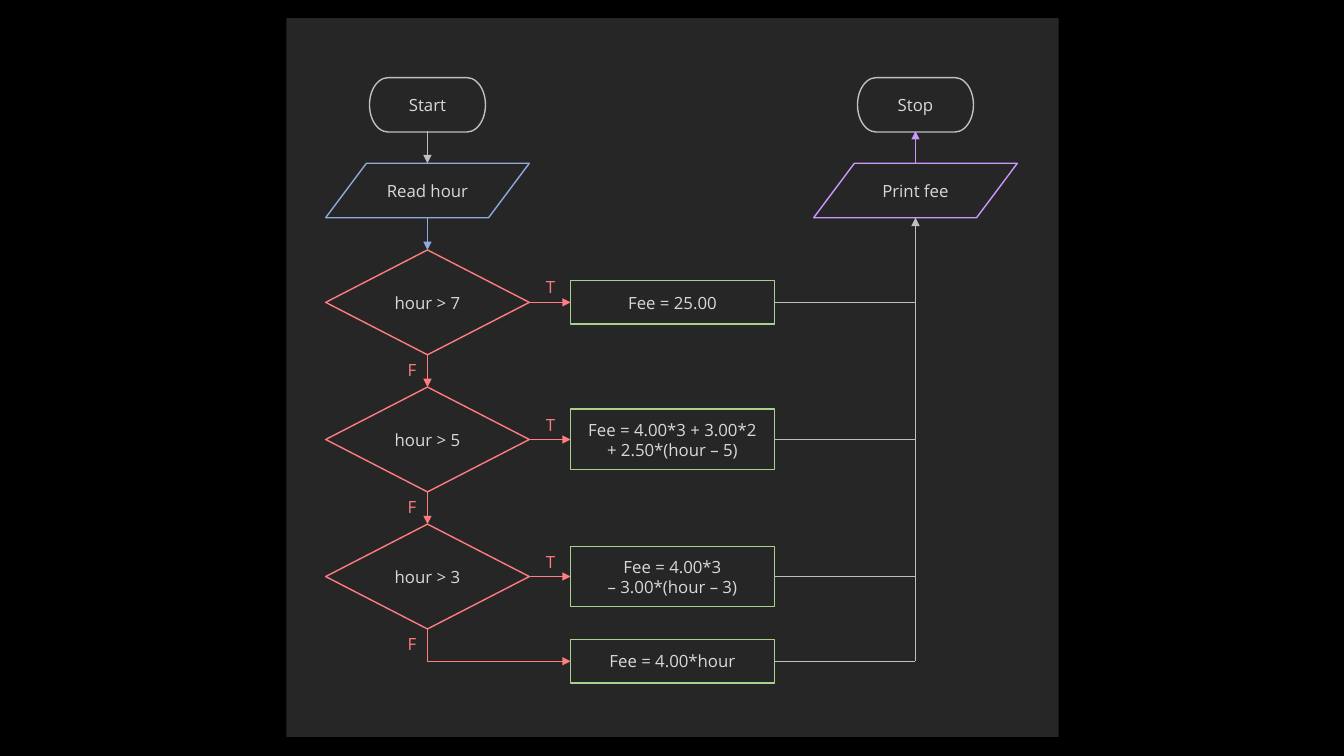
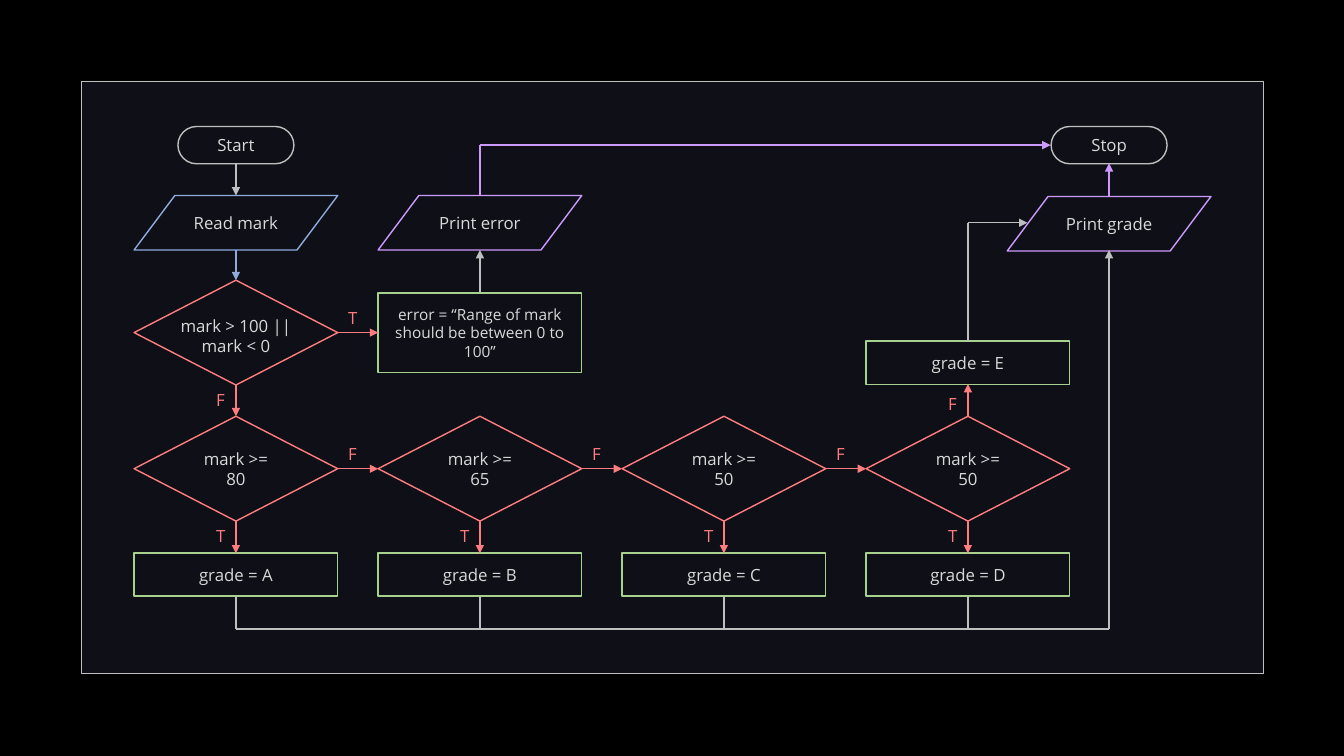
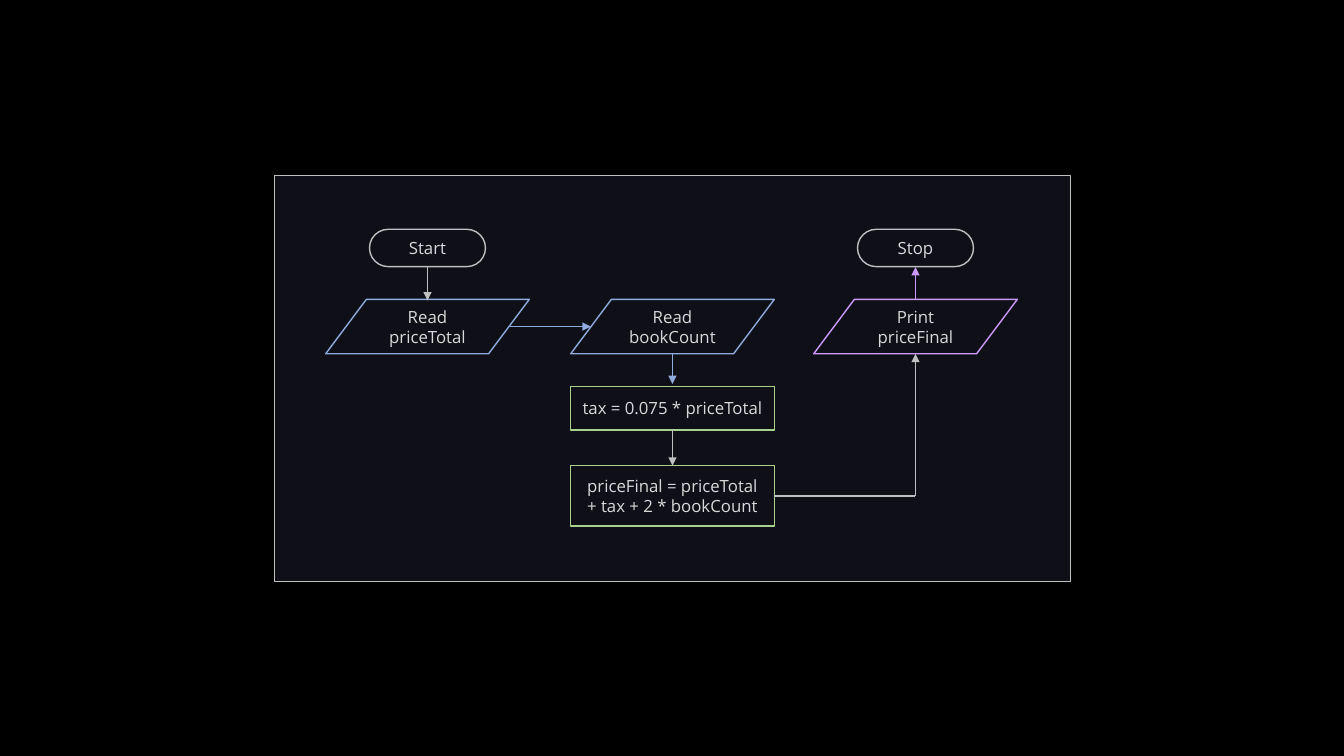
import dataclasses
import itertools

import lxml.etree
import pptx
import pptx.dml.color
import pptx.enum.shapes
import pptx.enum.text
import pptx.oxml.ns
import pptx.util

Inches = pptx.util.Inches
SHAPE = pptx.enum.shapes.MSO_SHAPE
ALIGN = pptx.enum.text.PP_ALIGN


@dataclasses.dataclass(frozen=True)
class Theme:
    font: str = "Open Sans"
    body: int = 12
    small: int = 11
    stroke: int = 1
    backdrop: str = "000000"
    charcoal: str = "262626"
    navy: str = "0F1017"
    text: str = "D9D9D9"
    flow: str = "BFBFBF"
    read: str = "8FAADC"
    test: str = "FF7C80"
    step: str = "A9D18E"
    show: str = "CC99FF"


theme = Theme()
rgb = pptx.dml.color.RGBColor.from_string

# Each kind of flowchart part: preset shape, width, height, outline colour
KINDS = {
    "panel": (SHAPE.RECTANGLE, 0, 0, theme.flow),
    "end": (SHAPE.FLOWCHART_TERMINATOR, 1.15, 0.37, theme.flow),
    "read": (SHAPE.FLOWCHART_DATA, 2.02, 0.54, theme.read),
    "show": (SHAPE.FLOWCHART_DATA, 2.02, 0.54, theme.show),
    "test": (SHAPE.FLOWCHART_DECISION, 2.02, 1.04, theme.test),
    "step": (SHAPE.RECTANGLE, 2.02, 0.43, theme.step),
    "label": (None, 0.29, 0.3, None),
    "caption": (None, 1.48, 0.5, None),
}


def add_part(page, text, kind, x, y, width=None, height=None, fill=None,
             outlined=True, size=theme.body, color=theme.text):
    """Place one flowchart part, centred on x and y."""
    preset, usual_width, usual_height, outline = KINDS[kind]
    width, height = width or usual_width, height or usual_height
    place = [Inches(v) for v in (x - width / 2, y - height / 2, width, height)]
    if preset is None:
        box = page.shapes.add_textbox(*place)
        box.text_frame.auto_size = pptx.enum.text.MSO_AUTO_SIZE.SHAPE_TO_FIT_TEXT
    else:
        box = page.shapes.add_shape(preset, *place)
        box.shadow.inherit = False
        box.fill.background()
        if fill:
            box.fill.solid()
            box.fill.fore_color.rgb = rgb(fill)
        box.line.fill.background()
        if outlined:
            box.line.color.rgb = rgb(outline)
            box.line.width = pptx.util.Pt(theme.stroke)
    if not text:
        return
    frame = box.text_frame
    frame.word_wrap = kind != "label"
    frame.vertical_anchor = pptx.enum.text.MSO_ANCHOR.MIDDLE
    for number, line in enumerate(text.split("\n")):
        para = frame.add_paragraph() if number else frame.paragraphs[0]
        para.alignment = ALIGN.LEFT if kind == "label" else ALIGN.CENTER
        span = para.add_run()
        span.text = line
        span.font.name = theme.font
        span.font.size = pptx.util.Pt(size)
        span.font.color.rgb = rgb(color)


def add_route(page, *points, color=theme.flow, arrow=True):
    """Draw straight runs through the points, with an arrowhead at the last."""
    for start, stop in itertools.pairwise(points):
        line = page.shapes.add_connector(
            pptx.enum.shapes.MSO_CONNECTOR.STRAIGHT,
            *[Inches(v) for v in (*start, *stop)])
        line.line.color.rgb = rgb(color)
        line.line.width = pptx.util.Pt(theme.stroke)
        if arrow and stop == points[-1]:
            lxml.etree.SubElement(line.line._get_or_add_ln(),
                                  pptx.oxml.ns.qn("a:tailEnd"), type="triangle")
        lxml.etree.SubElement(line._element.spPr, pptx.oxml.ns.qn("a:effectLst"))


deck = pptx.Presentation()
deck.slide_width, deck.slide_height = Inches(13.33), Inches(7.5)
backdrop = deck.slide_master.background.fill
backdrop.solid()
backdrop.fore_color.rgb = rgb(theme.backdrop)
blank = deck.slide_layouts[6]

# Offsets from the centre of a part to its edges
half_width, half_test, half_step = 1.01, 0.52, 0.21
half_data = 0.27
left, middle, right = 4.24, 6.67, 9.08

# Slide 1: parking fee
page = deck.slides.add_slide(blank)
add_part(page, "", "panel", 6.67, 3.745, 7.66, 7.13,
         fill=theme.charcoal, outlined=False)
add_part(page, "Start", "end", left, 1.04, height=0.54)
add_part(page, "Stop", "end", right, 1.04, height=0.54)
add_part(page, "Read hour", "read", left, 1.89)
add_part(page, "Print fee", "show", right, 1.89)
add_route(page, (left, 1.3), (left, 1.62))
add_route(page, (left, 2.16), (left, 2.48), color=theme.read)
add_route(page, (right, 1.62), (right, 1.3), color=theme.show)

# One row for each test of the hours
fees = [
    (7, "Fee = 25.00", 0.43),
    (5, "Fee = 4.00*3 + 3.00*2\n+ 2.50*(hour – 5)", 0.6),
    (3, "Fee = 4.00*3\n– 3.00*(hour – 3)", 0.6),
]
last_y = 6.56
for row, (hours, fee, height) in enumerate(fees):
    y = 3 + 1.36 * row
    below = y + half_test
    add_part(page, f"hour > {hours}", "test", left, y)
    add_part(page, fee, "step", middle, y, height=height)
    add_part(page, "T", "label", 5.46, y - 0.15, color=theme.test)
    add_part(page, "F", "label", left - 0.15, below + 0.15, color=theme.test)
    add_route(page, (left + half_width, y), (middle - half_width, y), color=theme.test)
    add_route(page, (middle + half_width, y), (right, y), arrow=False)
    if row < len(fees) - 1:
        add_route(page, (left, below), (left, below + 0.32), color=theme.test)

# The remaining case
add_part(page, "Fee = 4.00*hour", "step", middle, last_y)
add_route(page, (left, below), (left, last_y), (middle - half_width, last_y),
          color=theme.test)
add_route(page, (middle + half_width, last_y), (right, last_y), (right, 2.16))

# Slide 2: grade from mark
page = deck.slides.add_slide(blank)
columns = [2.34 + 2.42 * number for number in range(4)]
first, second, third, fourth = columns
final = 11
end_y, data_y, range_y, test_y, grade_y, e_y, bus_y = 1.44, 2.21, 3.3, 4.65, 5.7, 3.6, 6.24
add_part(page, "", "panel", 6.67, 3.745, 11.72, 5.87, fill=theme.navy)
add_part(page, "Start", "end", first, end_y)
add_part(page, "Stop", "end", final, end_y)
add_part(page, "Read mark", "read", first, data_y)
add_part(page, "Print error", "show", second, data_y)
add_part(page, "Print grade", "show", final, data_y + 0.01)
add_route(page, (first, 1.62), (first, 1.94))
add_route(page, (first, 2.48), (first, 2.78), color=theme.read)
add_route(page, (final, 1.95), (final, 1.62), color=theme.show)

# Range check and its error
add_part(page, "", "test", first, range_y)
add_part(page, "mark > 100 ||\nmark < 0", "caption", first, 3.33)
add_part(page, "error = “Range of mark should be between 0 to 100”", "step",
         second, range_y, height=0.79, size=theme.small)
add_part(page, "T", "label", first + 1.16, range_y - 0.15, color=theme.test)
add_part(page, "F", "label", first - 0.15, 3.97, color=theme.test)
add_route(page, (first + half_width, range_y), (second - half_width, range_y),
          color=theme.test)
add_route(page, (first, range_y + half_test), (first, test_y - half_test),
          color=theme.test)
add_route(page, (second, 2.91), (second, 2.48))
add_route(page, (second, 1.94), (second, end_y), (10.42, end_y), color=theme.show)

# One column for each grade limit
for x, limit, grade in zip(columns, (80, 65, 50, 50), "ABCD"):
    add_part(page, f"mark >= {limit}", "test", x, test_y)
    add_part(page, f"grade = {grade}", "step", x, grade_y)
    add_part(page, "T", "label", x - 0.15, 5.32, color=theme.test)
    add_route(page, (x, test_y + half_test), (x, grade_y - half_step), color=theme.test)
    if x != fourth:
        add_part(page, "F", "label", x + 1.16, test_y - 0.15, color=theme.test)
        add_route(page, (x + half_width, test_y), (x + 1.41, test_y), color=theme.test)
    if x != first:
        add_route(page, (x, grade_y + half_step), (x, bus_y), arrow=False)
add_route(page, (first, grade_y + half_step), (first, bus_y), (final, bus_y),
          (final, 2.48))

# The lowest grade
add_part(page, "grade = E", "step", fourth, e_y)
add_part(page, "F", "label", fourth - 0.15, 4.01, color=theme.test)
add_route(page, (fourth, test_y - half_test), (fourth, e_y + half_step), color=theme.test)
add_route(page, (fourth, e_y - half_step), (fourth, data_y), (10.19, data_y))

# Slide 3: final price of books
page = deck.slides.add_slide(blank)
end_y, data_y, tax_y, price_y = 2.46, 3.24, 4.05, 4.92
add_part(page, "", "panel", 6.67, 3.755, 7.89, 4.03, fill=theme.navy)
for text, kind, x, y, height in [
    ("Start", "end", left, end_y, None),
    ("Stop", "end", right, end_y, None),
    ("Read priceTotal", "read", left, data_y, None),
    ("Read bookCount", "read", middle, data_y, None),
    ("Print priceFinal", "show", right, data_y, None),
    ("tax = 0.075 * priceTotal", "step", middle, tax_y, None),
    ("priceFinal = priceTotal + tax + 2 * bookCount", "step", middle, price_y, 0.6),
]:
    add_part(page, text, kind, x, y, height=height)
add_route(page, (left, 2.65), (left, 2.98))
add_route(page, (5.06, data_y), (5.86, data_y), color=theme.read)
add_route(page, (middle, data_y + half_data), (middle, 3.81), color=theme.read)
add_route(page, (middle, tax_y + half_step), (middle, 4.62))
add_route(page, (middle + half_width, price_y), (right, price_y),
          (right, data_y + half_data))
add_route(page, (right, 2.98), (right, 2.65), color=theme.show)

deck.save("out.pptx")
